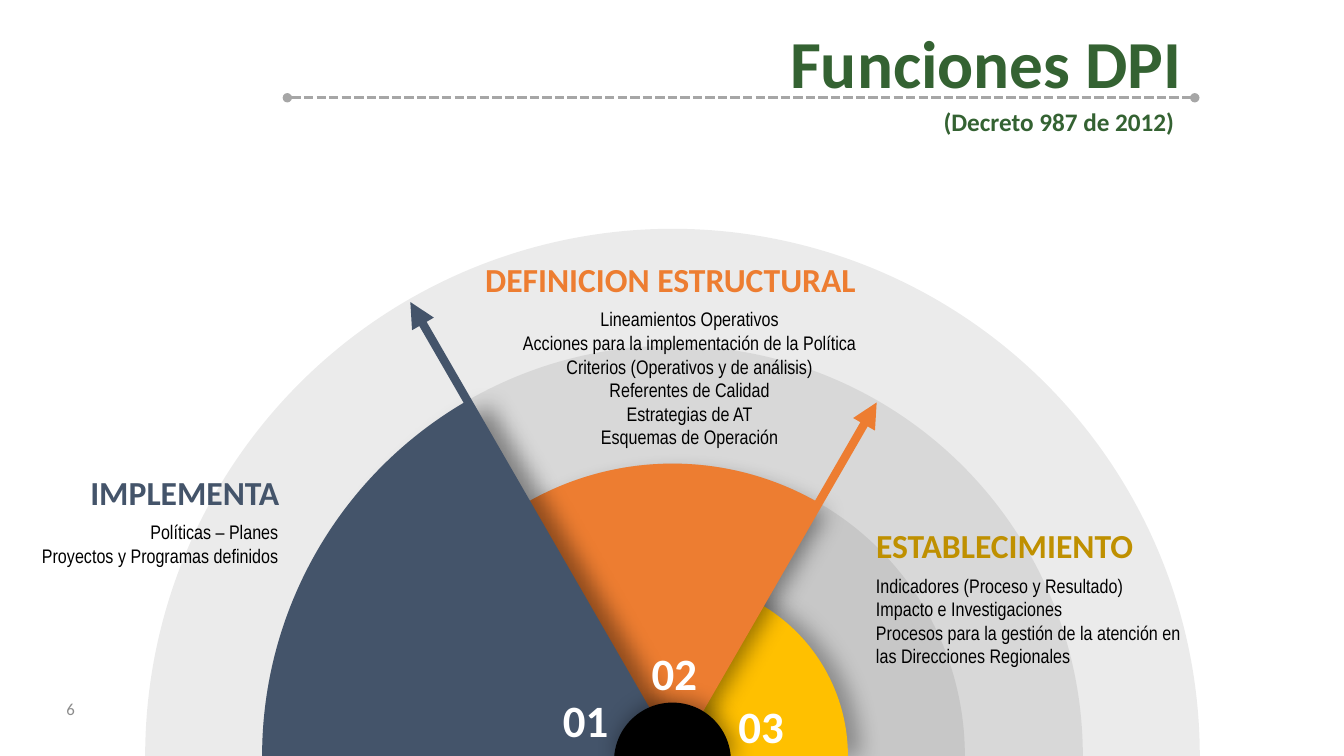
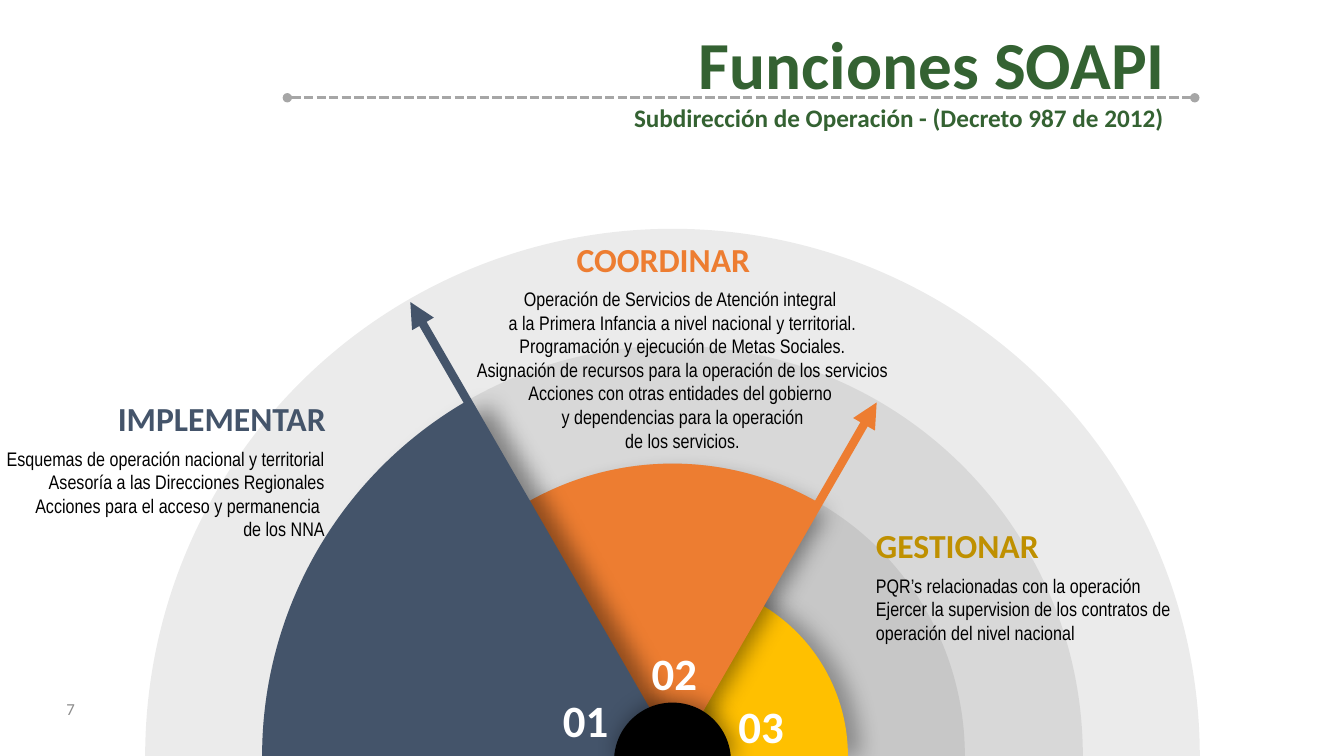
from math import cos, radians, sin

from lxml.etree import SubElement
from pptx import Presentation
from pptx.dml.color import RGBColor
from pptx.enum.dml import MSO_LINE
from pptx.enum.shapes import MSO_CONNECTOR
from pptx.enum.text import MSO_ANCHOR, PP_ALIGN
from pptx.oxml.ns import qn
from pptx.util import Inches, Pt

COLORS = {
    "green": "346232", "gray": "A6A6A6", "number": "8C8C8C", "black": "000000",
    "white": "FFFFFF", "blue": "44546A", "orange": "ED7D31", "yellow": "FFC000",
    "gold": "BF9000",
}
FORMATS = {
    "title": {"name": "Calibri", "size": Pt(48), "bold": True},
    "subtitle": {"name": "Calibri", "size": Pt(18), "bold": True},
    "heading": {"name": "Calibri", "size": Pt(24), "bold": True},
    "body": {"name": "Arial Narrow", "size": Pt(14), "bold": False},
    "numeral": {"name": "Calibri", "size": Pt(32), "bold": True},
    "page": {"name": "Calibri", "size": Pt(12), "bold": False},
}
LEFT, CENTER, RIGHT = PP_ALIGN.LEFT, PP_ALIGN.CENTER, PP_ALIGN.RIGHT
TOP, MIDDLE, BOTTOM = MSO_ANCHOR.TOP, MSO_ANCHOR.MIDDLE, MSO_ANCHOR.BOTTOM
DEGREE = 60000
FAN_CENTER = (6.67, 7.5)
HUB_CENTER = (6.67, 7.55)
HUB_RADIUS = 0.58
RING_RADII = (5.23, 4.07, 2.9)
SECTORS = [
    {"color": "yellow", "radius": 1.74, "start": 0, "shadow": (30, 16, 9, 0)},
    {"color": "orange", "radius": 2.9, "start": 60, "shadow": (40, 16, 9, 60), "arrow": 4.05},
    {"color": "blue", "radius": 4.07, "start": 120, "shadow": (40, 16, 16, 10), "arrow": 5.2},
]
HUB_SHADOW = (40, 16, 3, 315)
NUMERALS = {"01": (5.48, 6.82), "02": (6.36, 6.35), "03": (7.22, 6.88)}

SLIDES = [
    {
        "page": "6",
        "title": ("Funciones DPI", (7.72, 0.16, 4.12, 0.91)),
        "subtitle": ("(Decreto 987 de 2012)", (9.26, 1.01, 2.51, 0.4)),
        "blocks": [
            ("IMPLEMENTA", "blue", RIGHT, (0.77, 4.63, 2.1, 0.5), (-0.23, 5.11, 3.09, 0.57),
             ["Políticas – Planes", "Proyectos y Programas definidos"]),
            ("DEFINICION ESTRUCTURAL", "orange", CENTER,
             (4.69, 2.52, 3.92, 0.5), (4.69, 3, 4.3, 1.51),
             ["Lineamientos Operativos",
              "Acciones para la implementación de la Política",
              "Criterios (Operativos y de análisis)",
              "Referentes de Calidad",
              "Estrategias de AT",
              "Esquemas de Operación"]),
            ("ESTABLECIMIENTO", "gold", LEFT, (8.59, 5.16, 3.32, 0.5), (8.59, 5.64, 3.34, 1.28),
             ["Indicadores (Proceso y Resultado)",
              "Impacto e Investigaciones",
              "Procesos para la gestión de la atención en las Direcciones Regionales"]),
        ],
    },
    {
        "page": "7",
        "title": ("Funciones SOAPI", (6.81, 0.17, 4.87, 0.91)),
        "subtitle": ("Subdirección de Operación - (Decreto 987 de 2012)", (6.19, 0.97, 5.5, 0.4)),
        "blocks": [
            ("IMPLEMENTAR", "blue", RIGHT, (0.77, 3.9, 2.56, 0.5), (-0.14, 4.38, 3.46, 1.04),
             ["Esquemas de operación nacional y territorial",
              "Asesoría a las Direcciones Regionales",
              "Acciones para el acceso y permanencia ",
              "de los NNA"]),
            ("COORDINAR", "orange", CENTER, (5.61, 2.32, 1.94, 0.5), (4.62, 2.8, 4.3, 1.75),
             ["Operación de Servicios de Atención integral ",
              "a la Primera Infancia a nivel nacional y territorial.",
              "Programación y ejecución de Metas Sociales.",
              "Asignación de recursos para la operación de los servicios",
              "Acciones con otras entidades del gobierno ",
              "y dependencias para la operación",
              "de los servicios."]),
            ("GESTIONAR", "gold", LEFT, (8.59, 5.16, 1.83, 0.5), (8.59, 5.64, 3.34, 0.81),
             ["PQR’s relacionadas con la operación",
              "Ejercer la supervision de los contratos de operación del nivel nacional"]),
        ],
    },
]


def color(name):
    return RGBColor.from_string(COLORS[name])


def polar(center, radius, angle):
    return (center[0] + radius * cos(radians(angle)), center[1] - radius * sin(radians(angle)))


class Deck:
    """Hold the shared style and the slide being drawn."""

    def __init__(self):
        self.presentation = Presentation()
        self.presentation.slide_width = Inches(13.33)
        self.presentation.slide_height = Inches(7.5)
        self.slide = None

    def new_slide(self):
        self.slide = self.presentation.slides.add_slide(self.presentation.slide_layouts[6])

    def text(self, lines, box, style, color_name, align=LEFT, anchor=TOP, wrap=False):
        frame = self.slide.shapes.add_textbox(*map(Inches, box)).text_frame
        for name, value in {"word_wrap": wrap, "vertical_anchor": anchor}.items():
            setattr(frame, name, value)
        for index, line in enumerate(lines):
            paragraph = frame.add_paragraph() if index else frame.paragraphs[0]
            paragraph.alignment = align
            run = paragraph.add_run()
            run.text = line
            for name, value in FORMATS[style].items():
                setattr(run.font, name, value)
            run.font.color.rgb = color(color_name)

    def line(self, start, end, color_name, width, dash=None, **ends):
        points = [Inches(value) for value in (*start, *end)]
        connector = self.slide.shapes.add_connector(MSO_CONNECTOR.STRAIGHT, *points)
        connector.line.color.rgb = color(color_name)
        for name, value in {"width": Pt(width), "dash_style": dash}.items():
            setattr(connector.line, name, value)
        properties = connector.element.spPr
        outline = properties.find(qn("a:ln"))
        for name, value in ends.items():
            SubElement(outline, qn(f"a:{name}"), type=value)
        SubElement(properties, qn("a:effectLst"))

    def sector(self, center, radius, start, color_name, shadow=None, opacity=None):
        angles = sorted({start, max(start, 90), 180})
        corners = [center, *(polar(center, radius, angle) for angle in angles)]
        points = [tuple(map(Inches, corner)) for corner in corners]
        builder = self.slide.shapes.build_freeform(*points[0])
        builder.add_line_segments(points[1:], close=True)
        shape = builder.convert_to_shape()
        shape.fill.solid()
        shape.fill.fore_color.rgb = color(color_name)
        shape.line.fill.background()
        shape.shadow.inherit = False
        properties = shape.element.spPr
        self.round_edge(properties, radius, start)
        if opacity:
            fill_color = properties.find(qn("a:solidFill")).find(qn("a:srgbClr"))
            SubElement(fill_color, qn("a:alpha"), val=str(opacity * 1000))
        if shadow:
            alpha, blur, distance, direction = shadow
            outer = SubElement(
                properties.find(qn("a:effectLst")), qn("a:outerShdw"),
                blurRad=str(Pt(blur)), dist=str(Pt(distance)),
                dir=str(direction * DEGREE), rotWithShape="0")
            shadow_color = SubElement(outer, qn("a:srgbClr"), val=COLORS["black"])
            SubElement(shadow_color, qn("a:alpha"), val=str(alpha * 1000))

    def round_edge(self, properties, radius, start):
        outline = next(properties.iter(qn("a:path")))
        for segment in outline.findall(qn("a:lnTo"))[1:]:
            outline.remove(segment)
        size = str(Inches(radius))
        arc = SubElement(outline, qn("a:arcTo"), wR=size, hR=size,
                         stAng=str(-start * DEGREE), swAng=str((start - 180) * DEGREE))
        arc.addnext(outline.find(qn("a:close")))

    def fan(self):
        for sector in SECTORS:
            self.sector(FAN_CENTER, sector["radius"], sector["start"],
                        sector["color"], sector["shadow"])
            if "arrow" in sector:
                tip = polar(FAN_CENTER, sector["arrow"], sector["start"])
                self.line(FAN_CENTER, tip, sector["color"], 6, tailEnd="triangle")

    def block(self, heading, color_name, align, heading_box, body_box, lines):
        self.text([heading], heading_box, "heading", color_name, align, BOTTOM)
        self.text(lines, body_box, "body", "black", align, wrap=True)

    def functions_slide(self, content):
        self.new_slide()
        title, title_box = content["title"]
        self.text([title], title_box, "title", "green", CENTER)
        self.line((2.85, 0.97), (11.85, 0.97), "gray", 2.25, MSO_LINE.SQUARE_DOT,
                  headEnd="oval", tailEnd="oval")
        for radius in RING_RADII:
            self.sector(FAN_CENTER, radius, 0, "black", opacity=8)
        self.text([content["page"]], (0.36, 6.82, 0.48, 0.43), "page", "number",
                  RIGHT, MIDDLE, wrap=True)
        self.fan()
        for block in content["blocks"]:
            self.block(*block)
        self.sector(HUB_CENTER, HUB_RADIUS, 0, "black", HUB_SHADOW)
        for numeral, position in NUMERALS.items():
            self.text([numeral], (*position, 0.66, 0.64), "numeral", "white", CENTER, MIDDLE)
        subtitle, subtitle_box = content["subtitle"]
        self.text([subtitle], subtitle_box, "subtitle", "green")


def main():
    deck = Deck()
    for content in SLIDES:
        deck.functions_slide(content)
    deck.presentation.save("out.pptx")


if __name__ == "__main__":
    main()
